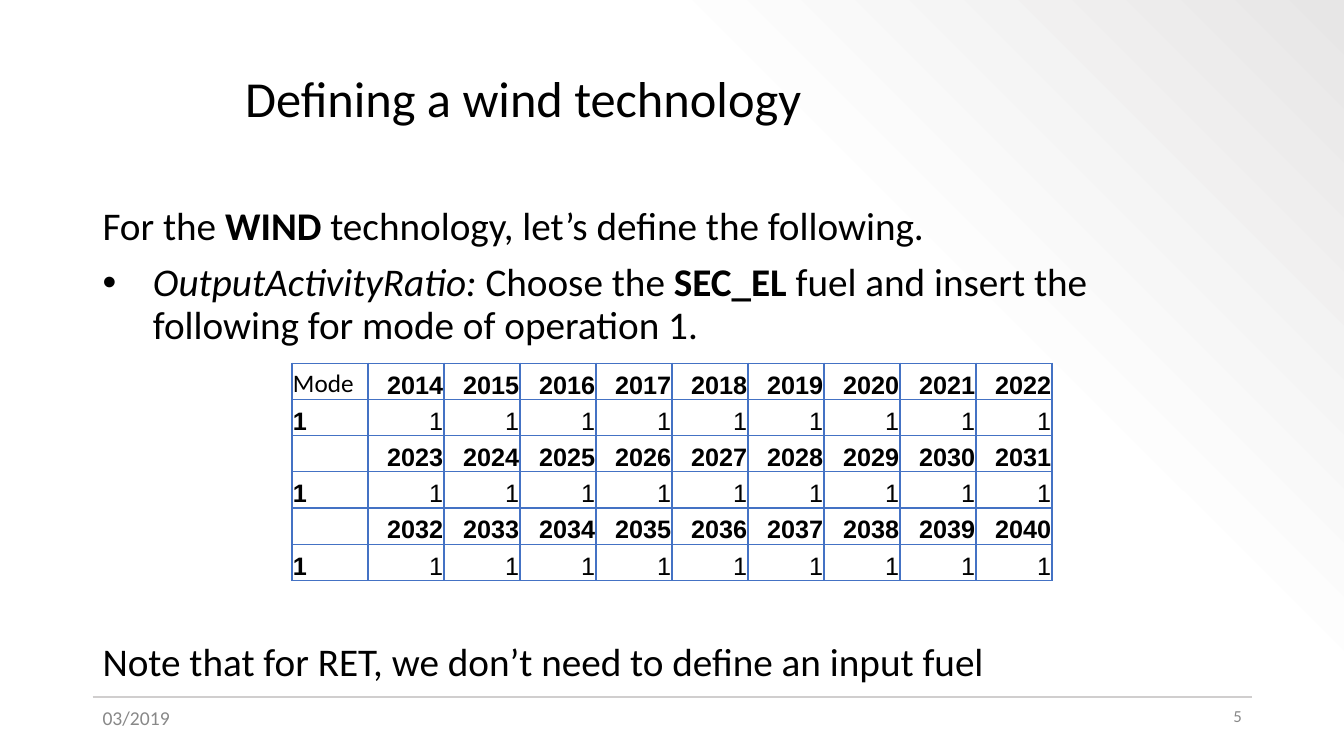
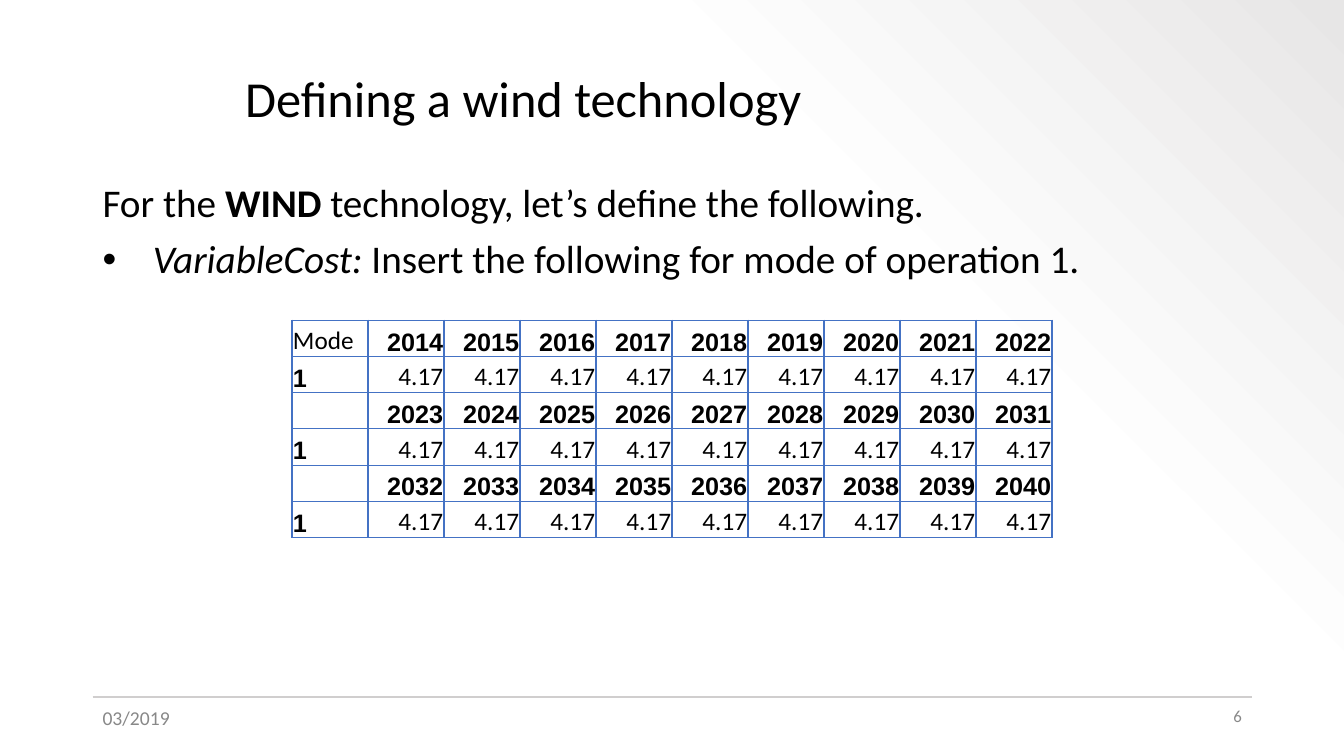
"""Build two slides that define the parameters of a wind technology."""
from dataclasses import dataclass
from typing import NamedTuple, Optional

import lxml.etree
import pptx
import pptx.dml.color
import pptx.enum.shapes
import pptx.enum.text
import pptx.oxml.ns
import pptx.util

Pt = pptx.util.Pt
RGBColor = pptx.dml.color.RGBColor
Align = pptx.enum.text.PP_ALIGN
Anchor = pptx.enum.text.MSO_ANCHOR
qn = pptx.oxml.ns.qn

BLACK = RGBColor(0x00, 0x00, 0x00)
FOOTER_GREY = RGBColor(0x88, 0x88, 0x88)
RULE_GREY = RGBColor(0xD0, 0xCE, 0xCE)
GRID_BLUE = RGBColor(0x44, 0x72, 0xC4)
WHITE = RGBColor(0xFF, 0xFF, 0xFF)
OFF_WHITE = RGBColor(0xFD, 0xFD, 0xFD)
CORNER_GREY = RGBColor(0xE7, 0xE6, 0xE6)

BODY_FONT = "Calibri"
TABLE_FONT = "Arial"
TITLE = "Defining a wind technology"
DATE = "03/2019"
FIRST_NUMBER = 5
FIRST_YEAR = 2014
YEARS_PER_BAND = 9
BANDS = 3

MARGIN = 66.2
CONTENT_WIDTH = 828
FOOTER_TOP = 500.4
FOOTER_WIDTH = 93.6
TABLE_LEFT = 208.6
COLUMN_WIDTH = 54.3
ROW_HEIGHT = 25.9


class Span(NamedTuple):
    text: str
    bold: bool = False
    italic: bool = False


class Box(NamedTuple):
    left: float
    top: float
    width: float
    height: float


class Style(NamedTuple):
    size: float
    color: RGBColor = BLACK
    align: Align = Align.LEFT
    anchor: Anchor = Anchor.TOP
    line_spacing: float = 1.0


@dataclass
class Parameter:
    instruction: list[Span]
    value: str
    value_font: str
    body_top: float
    table_top: float
    note: Optional[str] = None
    note_top: float = 0


TITLE_STYLE = Style(36, anchor=Anchor.MIDDLE, line_spacing=0.9)
BODY_STYLE = Style(28, line_spacing=0.9)
DATE_STYLE = Style(14, FOOTER_GREY)
NUMBER_STYLE = Style(12, FOOTER_GREY, Align.RIGHT)

INTRO = [Span("For the "), Span("WIND ", bold=True),
         Span("technology, let’s define the following.")]

PARAMETERS = [
    Parameter(
        [Span("OutputActivityRatio: ", italic=True), Span("Choose the "),
         Span("SEC_EL", bold=True),
         Span(" fuel and insert the following for mode of operation 1.")],
        "1", TABLE_FONT, 144, 259.4,
        "Note that for RET, we don’t need to define an input fuel", 455.4),
    Parameter(
        [Span("VariableCost: ", italic=True),
         Span("Insert the following for mode of operation 1.")],
        "4.17", BODY_FONT, 127.4, 228.7),
]


def add_xml(parent, tag: str, **attributes: str):
    return lxml.etree.SubElement(parent, qn(tag), attributes)


def add_color(parent, color: RGBColor):
    return add_xml(parent, "a:srgbClr", val=str(color))


def paint_background(master) -> None:
    fill = master.background.fill
    fill.gradient()
    stops = master.element.find(".//" + qn("a:gsLst"))
    stops.clear()
    for position, color in ((0, WHITE), (69, OFF_WHITE), (100, CORNER_GREY)):
        stop = add_color(add_xml(stops, "a:gs", pos=str(position * 1000)), color)
    add_xml(stop, "a:alpha", val="50000")
    fill.gradient_angle = 45


def set_bullet(paragraph, hanging: float) -> None:
    properties = paragraph._p.get_or_add_pPr()
    properties.set("marL", str(Pt(hanging)))
    properties.set("indent", str(-Pt(hanging)))
    add_color(add_xml(properties, "a:buClr"), BLACK)
    add_xml(properties, "a:buFont", typeface="Arial")
    add_xml(properties, "a:buChar", char="•")


def set_font(paragraph, name: str, size: float, color: RGBColor) -> None:
    paragraph.font.name = name
    paragraph.font.size = Pt(size)
    paragraph.font.color.rgb = color


def add_text(slide, box: Box, style: Style, lines: list[list[Span]],
             bulleted: bool = False) -> None:
    frame = slide.shapes.add_textbox(*map(Pt, box)).text_frame
    frame.word_wrap = True
    frame.vertical_anchor = style.anchor
    for index, spans in enumerate(lines):
        paragraph = frame.add_paragraph() if index else frame.paragraphs[0]
        paragraph.alignment = style.align
        paragraph.line_spacing = style.line_spacing
        if index:
            paragraph.space_before = Pt(10)
            if bulleted:
                set_bullet(paragraph, 36)
        set_font(paragraph, BODY_FONT, style.size, style.color)
        for span in spans:
            run = paragraph.add_run()
            run.text = span.text
            run.font.bold = span.bold
            run.font.italic = span.italic


def add_footer_rule(slide) -> None:
    rule = slide.shapes.add_connector(
        pptx.enum.shapes.MSO_CONNECTOR.STRAIGHT,
        Pt(MARGIN), Pt(498), Pt(MARGIN + CONTENT_WIDTH), Pt(498))
    rule.line.color.rgb = RULE_GREY
    rule.line.width = Pt(1.5)
    add_xml(rule._element.spPr, "a:effectLst")


def fill_cell(cell, text: str, font: str, bold: bool, align: Align) -> None:
    cell.margin_left = cell.margin_right = cell.margin_top = Pt(0.7)
    cell.margin_bottom = Pt(0)
    cell.vertical_anchor = Anchor.BOTTOM
    properties = cell._tc.get_or_add_tcPr()
    for side in ("a:lnL", "a:lnR", "a:lnT", "a:lnB"):
        border = add_xml(properties, side, w=str(Pt(1)))
        add_color(add_xml(border, "a:solidFill"), GRID_BLUE)
    cell.fill.background()
    cell.text = text
    paragraph = cell.text_frame.paragraphs[0]
    paragraph.alignment = align
    set_font(paragraph, font, 18, BLACK)
    paragraph.font.bold = bold


def add_year_table(slide, parameter: Parameter) -> None:
    rows, columns = BANDS * 2, YEARS_PER_BAND + 1
    frame = slide.shapes.add_table(
        rows, columns, Pt(TABLE_LEFT), Pt(parameter.table_top),
        Pt(columns * COLUMN_WIDTH), Pt(rows * ROW_HEIGHT))
    table = frame.table
    table.first_row = table.horz_banding = False
    for column in table.columns:
        column.width = Pt(COLUMN_WIDTH)
    for row in table.rows:
        row.height = Pt(ROW_HEIGHT)
    for band in range(BANDS):
        years, values = band * 2, band * 2 + 1
        fill_cell(table.cell(years, 0), "" if band else "Mode",
                  BODY_FONT, False, Align.LEFT)
        fill_cell(table.cell(values, 0), "1", TABLE_FONT, True, Align.LEFT)
        for column in range(1, columns):
            year = FIRST_YEAR + band * YEARS_PER_BAND + column - 1
            fill_cell(table.cell(years, column), str(year),
                      TABLE_FONT, True, Align.RIGHT)
            fill_cell(table.cell(values, column), parameter.value,
                      parameter.value_font, False, Align.RIGHT)


def add_parameter_slide(deck, number: int, parameter: Parameter) -> None:
    slide = deck.slides.add_slide(deck.slide_layouts[6])
    add_footer_rule(slide)
    add_text(slide, Box(168, 28.8, 725.8, 86.4), TITLE_STYLE, [[Span(TITLE)]])
    add_text(slide, Box(MARGIN, parameter.body_top, CONTENT_WIDTH, 110),
             BODY_STYLE, [INTRO, parameter.instruction], bulleted=True)
    add_year_table(slide, parameter)
    if parameter.note:
        add_text(slide, Box(MARGIN, parameter.note_top, CONTENT_WIDTH, 40),
                 BODY_STYLE, [[Span(parameter.note)]])
    add_text(slide, Box(MARGIN, FOOTER_TOP, FOOTER_WIDTH, 28.8),
             DATE_STYLE, [[Span(DATE)]])
    number_left = MARGIN + CONTENT_WIDTH - FOOTER_WIDTH
    add_text(slide, Box(number_left, FOOTER_TOP, FOOTER_WIDTH, 28.8),
             NUMBER_STYLE, [[Span(str(number))]])


def main() -> None:
    deck = pptx.Presentation()
    deck.slide_width, deck.slide_height = Pt(960), Pt(540)
    paint_background(deck.slide_master)
    for number, parameter in enumerate(PARAMETERS, FIRST_NUMBER):
        add_parameter_slide(deck, number, parameter)
    deck.save("out.pptx")


if __name__ == "__main__":
    main()
